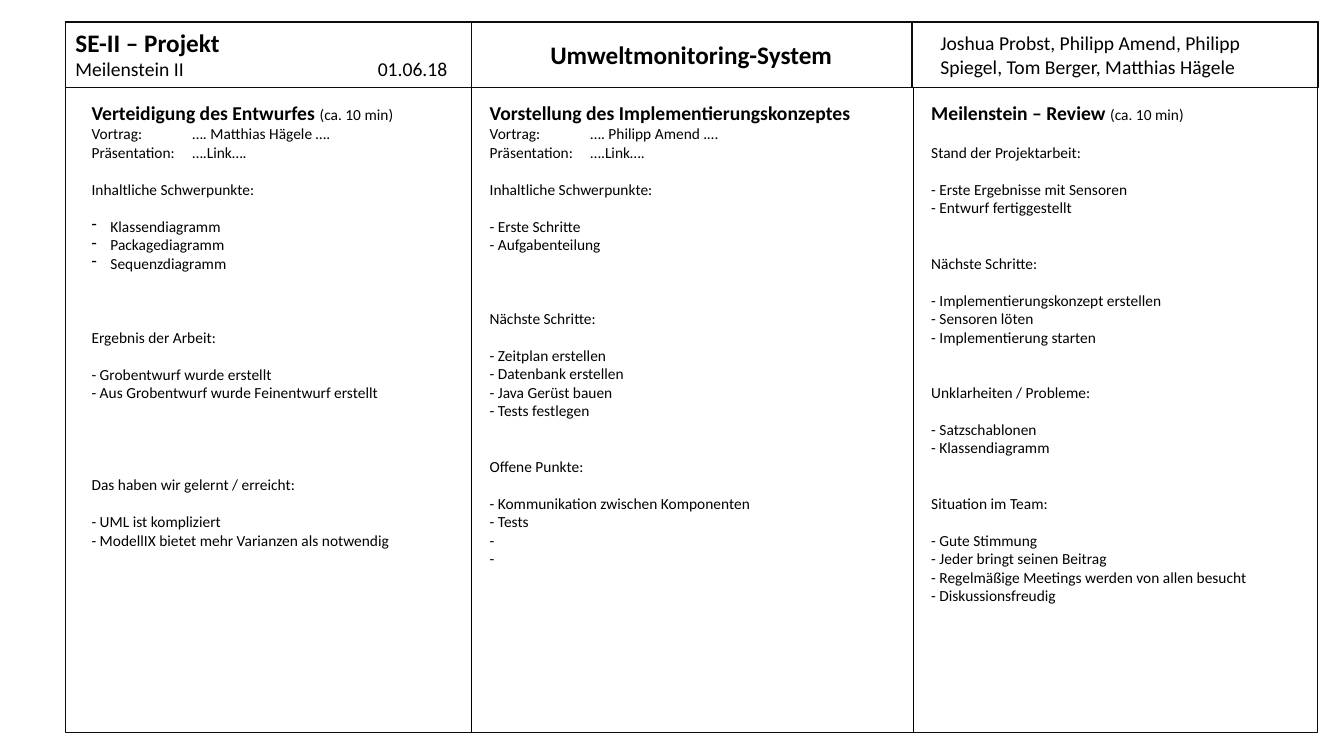
from pptx import Presentation
from pptx.dml.color import RGBColor
from pptx.enum.shapes import MSO_CONNECTOR as CONNECTOR, MSO_SHAPE as SHAPE
from pptx.util import Pt
from lxml.etree import SubElement
from pptx.oxml.ns import qn

COLORS = {"text": "000000", "frame": "0D0D0D", "divider": "000000"}
FONT = "Calibri"
LINE_HEIGHT = 13.2  # one line of 11 pt text
LEFT, TOP, WIDTH, HEIGHT = 46.8, 15.8, 894.2, 507.6
HEADER_HEIGHT, CELL_WIDTH = 46.8, 290.2

presentation = Presentation()
presentation.slide_width, presentation.slide_height = Pt(960), Pt(540)
slide = presentation.slides.add_slide(presentation.slide_layouts[6])


def add_box(left, top, width, height, wrap=True):
    frame = slide.shapes.add_textbox(Pt(left), Pt(top), Pt(width), Pt(height)).text_frame
    frame.word_wrap = wrap
    return frame


def write(frame, text, size=11, bold=False, note="", gap=0, bullet=False, tab=None):
    """Add a paragraph; gap counts the lines left free above it."""
    first = frame.paragraphs[0]
    paragraph = frame.add_paragraph() if first.runs else first
    if gap:
        paragraph.space_before = Pt(gap * LINE_HEIGHT)
    for part, part_size, part_bold in ((text, size, bold), (note, 11, False)):
        if part:
            run = paragraph.add_run()
            run.text = part
            run.font.name, run.font.size, run.font.bold = FONT, Pt(part_size), part_bold
            run.font.color.rgb = RGBColor.from_string(COLORS["text"])
    properties = paragraph._p.get_or_add_pPr()
    if bullet:
        properties.set("marL", str(Pt(13.5)))
        properties.set("indent", str(-Pt(13.5)))
        SubElement(properties, qn("a:buChar"), char="-")
    if tab:
        tabs = SubElement(properties, qn("a:tabLst"))
        SubElement(tabs, qn("a:tab"), pos=str(Pt(tab)), algn="l")


# Outer frame and header cells
for left, width, height in (
    (LEFT, WIDTH, HEIGHT),
    (LEFT, CELL_WIDTH, HEADER_HEIGHT),
    (LEFT, WIDTH, HEADER_HEIGHT),
    (651.6, CELL_WIDTH, HEADER_HEIGHT),
):
    shape = slide.shapes.add_shape(SHAPE.RECTANGLE, Pt(left), Pt(TOP), Pt(width), Pt(height))
    shape.shadow.inherit = False
    shape.fill.background()
    shape.line.color.rgb = RGBColor.from_string(COLORS["frame"])
    shape.line.width = Pt(1)

# Column dividers
for x in (337, 652.3):
    divider = slide.shapes.add_connector(
        CONNECTOR.STRAIGHT, Pt(x), Pt(TOP + HEADER_HEIGHT), Pt(x), Pt(TOP + HEIGHT))
    divider.line.color.rgb = RGBColor.from_string(COLORS["divider"])
    divider.line.width = Pt(0.5)
    SubElement(divider._element.spPr, qn("a:effectLst"))

# Header texts
project = add_box(LEFT, TOP, 283, 46)
write(project, "SE-II – Projekt", size=18, bold=True)
write(project, "Meilenstein II\t01.06.18", size=14, tab=216)
title = add_box(386, 24.5, 217.4, 29, wrap=False)
write(title, "Umweltmonitoring-System", size=18, bold=True)
team = add_box(664.6, 18.7, 259.2, 41)
write(team, "Joshua Probst, Philipp Amend, Philipp Spiegel, Tom Berger, Matthias Hägele", size=14)

# Columns: left, width, height, heading, note, intro lines,
# sections as (free lines above, section title, items, bulleted)
columns = [
    (58.3, 260.6, 397.4, "Verteidigung des Entwurfes ", "(ca. 10 min)",
     ["Vortrag:\t…. Matthias Hägele ….", "Präsentation:\t….Link…."], [
        (1, "Inhaltliche Schwerpunkte:",
         ["Klassendiagramm", "Packagediagramm", "Sequenzdiagramm"], True),
        (3, "Ergebnis der Arbeit:",
         ["- Grobentwurf wurde erstellt",
          "- Aus Grobentwurf wurde Feinentwurf erstellt"], False),
        (4, "Das haben wir gelernt / erreicht:",
         ["- UML ist kompliziert",
          "- ModellIX bietet mehr Varianzen als notwendig"], False),
     ]),
    (342.7, 283, 383.8, "Vorstellung des Implementierungskonzeptes", "",
     ["Vortrag:\t…. Philipp Amend .…", "Präsentation:\t….Link…."], [
        (1, "Inhaltliche Schwerpunkte:",
         ["- Erste Schritte", "- Aufgabenteilung"], False),
        (3, "Nächste Schritte:",
         ["- Zeitplan erstellen", "- Datenbank erstellen",
          "- Java Gerüst bauen", "- Tests festlegen"], False),
        (2, "Offene Punkte:",
         ["- Kommunikation zwischen Komponenten", "- Tests", "-", "-"], False),
     ]),
    (658.1, 272.9, 370.8, "Meilenstein – Review ", "(ca. 10 min)", [], [
        (1, "Stand der Projektarbeit:",
         ["- Erste Ergebnisse mit Sensoren", "- Entwurf fertiggestellt"], False),
        (2, "Nächste Schritte:",
         ["- Implementierungskonzept erstellen", "- Sensoren löten",
          "- Implementierung starten"], False),
        (2, "Unklarheiten / Probleme:",
         ["- Satzschablonen", "- Klassendiagramm"], False),
        (2, "Situation im Team:",
         ["- Gute Stimmung", "- Jeder bringt seinen Beitrag",
          "- Regelmäßige Meetings werden von allen besucht",
          "- Diskussionsfreudig"], False),
     ]),
]
for left, width, height, heading, note, intro, sections in columns:
    column = add_box(left, 68.4, width, height)
    write(column, heading, size=14, bold=True, note=note)
    for line in intro:
        write(column, line)
    for gap, section, items, bulleted in sections:
        write(column, section, gap=gap)
        for index, item in enumerate(items):
            write(column, item, gap=1 if index == 0 else 0, bullet=bulleted)

presentation.save("out.pptx")
